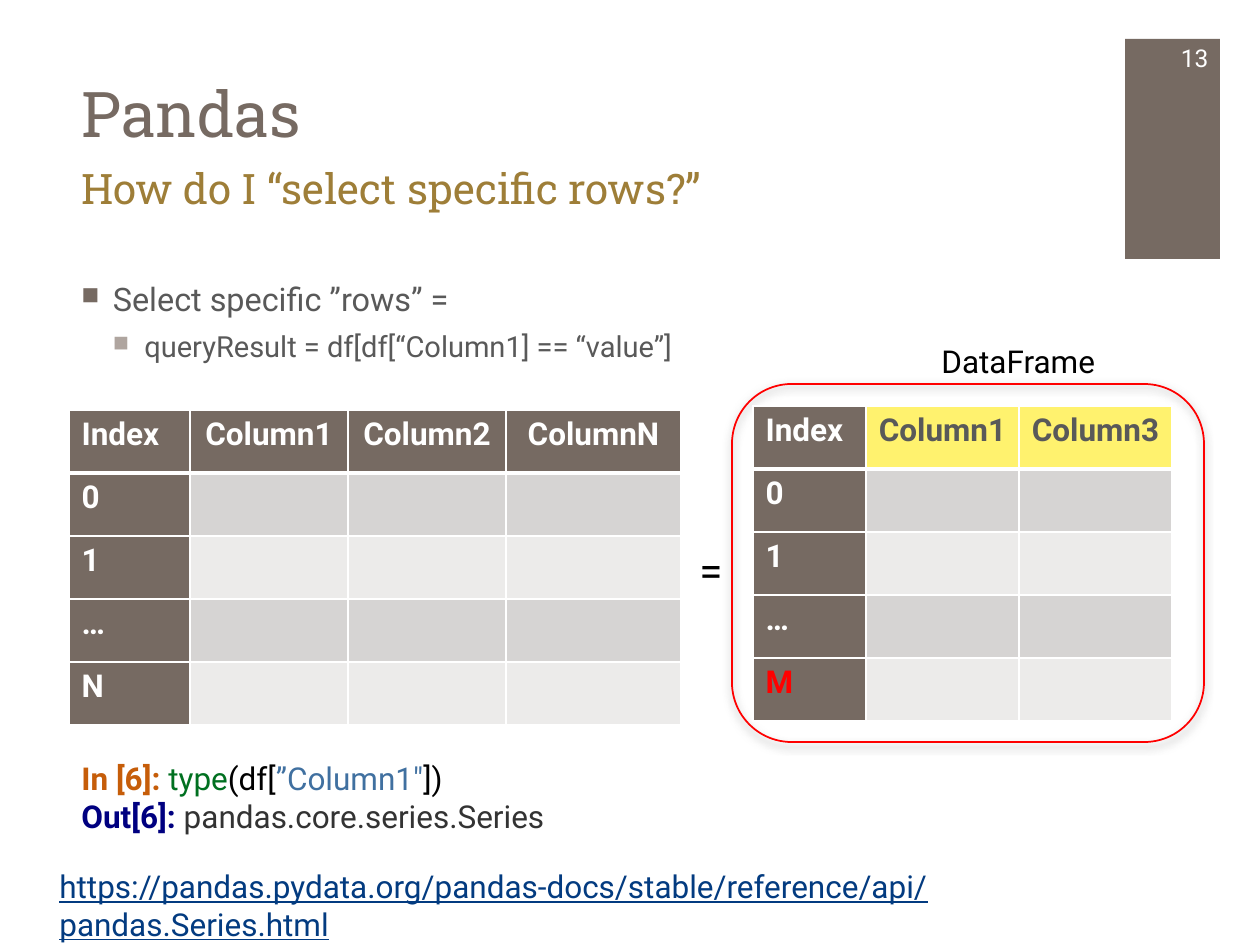
from dataclasses import dataclass

import lxml.etree
import pptx
import pptx.dml.color
import pptx.enum.shapes
import pptx.enum.text
import pptx.oxml
import pptx.oxml.ns
import pptx.util

PX = 914400 / 126
SANS, SLAB = "Roboto", "Roboto Slab"
BROWN, GRAY, WHITE, BLACK, RED = "766A62", "595959", "FFFFFF", "000000", "FF0000"
YELLOW = "FFF26E"
BANDS = ["D6D4D3", "ECEBEA"]
ALIGN = pptx.enum.text.PP_ALIGN
ANCHOR = pptx.enum.text.MSO_ANCHOR
SHAPE = pptx.enum.shapes.MSO_SHAPE


@dataclass
class Span:
    text: str
    color: str = BLACK
    size: float = 18
    font: str = SANS
    bold: bool = False
    underline: bool = False


@dataclass
class Bullet:
    span: Span
    level: int
    color: str
    before: int


@dataclass
class Frame:
    left: int
    top: int
    widths: list[int]
    header: list[str]
    index: list[str]
    header_fill: str = BROWN
    header_color: str = WHITE
    last_color: str = WHITE


def px(n: int) -> int:
    return round(n * PX)


def rgb(color: str) -> pptx.dml.color.RGBColor:
    return pptx.dml.color.RGBColor.from_string(color)


def style(r, span: Span) -> None:
    r.font.name = span.font
    r.font.size = pptx.util.Pt(span.size)
    r.font.bold = span.bold
    r.font.underline = span.underline
    r.font.color.rgb = rgb(span.color)


def fill_paragraph(p, spans: list[Span], align=ALIGN.LEFT) -> None:
    p.alignment = align
    for span in spans:
        r = p.add_run()
        r.text = span.text
        style(r, span)


def add_text(s, box: tuple[int, int, int, int], lines: list[list[Span]],
             align=ALIGN.LEFT, anchor=ANCHOR.TOP):
    tf = s.shapes.add_textbox(*map(px, box)).text_frame
    tf.word_wrap = True
    tf.vertical_anchor = anchor
    for i, spans in enumerate(lines):
        p = tf.add_paragraph() if i else tf.paragraphs[0]
        fill_paragraph(p, spans, align)
    return tf


def add_bullets(s, box: tuple[int, int, int, int], bullets: list[Bullet]) -> None:
    tf = add_text(s, box, [[]] * len(bullets))
    for p, b in zip(tf.paragraphs, bullets):
        pPr = p._p.get_or_add_pPr()
        pPr.set("marL", str(pptx.util.Inches(0.25 * (b.level + 1))))
        pPr.set("indent", str(pptx.util.Inches(-0.25)))
        if b.before:
            p.space_before = pptx.util.Pt(b.before)
        p.level = b.level
        color = lxml.etree.SubElement(pPr, pptx.oxml.ns.qn("a:buClr"))
        lxml.etree.SubElement(color, pptx.oxml.ns.qn("a:srgbClr"), val=b.color)
        lxml.etree.SubElement(pPr, pptx.oxml.ns.qn("a:buSzPct"), val="75000")
        lxml.etree.SubElement(pPr, pptx.oxml.ns.qn("a:buChar"), char="■")
        fill_paragraph(p, [b.span])


def format_cell(cell, fill: str, row: int) -> None:
    tcPr = cell._tc.get_or_add_tcPr()
    points = {"L": 1, "R": 1, "T": 3 if row == 1 else 1, "B": 3 if row == 0 else 1}
    for side, width in points.items():
        ln = lxml.etree.SubElement(tcPr, pptx.oxml.ns.qn(f"a:ln{side}"),
                                   w=str(pptx.util.Pt(width)))
        solid = lxml.etree.SubElement(ln, pptx.oxml.ns.qn("a:solidFill"))
        lxml.etree.SubElement(solid, pptx.oxml.ns.qn("a:srgbClr"), val=WHITE)
    cell.fill.solid()
    cell.fill.fore_color.rgb = rgb(fill)


def add_frame(s, frame: Frame) -> None:
    rows, cols, height = len(frame.index) + 1, len(frame.widths), 63
    table = s.shapes.add_table(rows, cols, px(frame.left), px(frame.top),
                               px(sum(frame.widths)), px(rows * height)).table
    for column, width in zip(table.columns, frame.widths):
        column.width = px(width)
    for i, row in enumerate(table.rows):
        row.height = px(height)
        for j, cell in enumerate(row.cells):
            text, fill, color = "", BROWN, WHITE
            if j == 0:
                text = (["Index"] + frame.index)[i]
                color = frame.last_color if i == rows - 1 else WHITE
            elif i == 0:
                text, fill, color = frame.header[j - 1], frame.header_fill, frame.header_color
            else:
                fill = BANDS[(i - 1) % 2]
            format_cell(cell, fill, i)
            if text:
                fill_paragraph(cell.text_frame.paragraphs[0], [Span(text, color, bold=True)],
                               ALIGN.CENTER if j else ALIGN.LEFT)


def add_box(s, kind, box: tuple[int, int, int, int]):
    sp = s.shapes.add_shape(kind, *map(px, box))
    sp.shadow.inherit = False
    return sp


def add_outline(s, box: tuple[int, int, int, int]) -> None:
    sp = add_box(s, SHAPE.ROUNDED_RECTANGLE, box)
    sp.fill.background()
    sp.line.color.rgb = rgb(RED)
    sp.line.width = pptx.util.Pt(1)
    effects = sp._element.spPr.find(pptx.oxml.ns.qn("a:effectLst"))
    shadow = lxml.etree.SubElement(
        effects, pptx.oxml.ns.qn("a:outerShdw"), blurRad=str(pptx.util.Pt(5)),
        dist=str(pptx.util.Pt(2)), dir="5400000", rotWithShape="0")
    color = lxml.etree.SubElement(shadow, pptx.oxml.ns.qn("a:srgbClr"), val="808080")
    lxml.etree.SubElement(color, pptx.oxml.ns.qn("a:alpha"), val="75000")


def main() -> None:
    prs = pptx.Presentation()
    prs.slide_width, prs.slide_height = px(1260), px(945)
    s = prs.slides.add_slide(prs.slide_layouts[5])

    title = s.shapes.title
    title.left, title.top, title.width, title.height = map(px, (69, 19, 1041, 137))
    tf = title.text_frame
    tf.text = "Pandas"
    tf.vertical_anchor = ANCHOR.BOTTOM
    tf.paragraphs[0].alignment = ALIGN.LEFT
    style(tf.paragraphs[0].runs[0], Span("Pandas", BROWN, 36, SLAB))

    tab = add_box(s, SHAPE.RECTANGLE, (1125, 39, 95, 220))
    tab.fill.solid()
    tab.fill.fore_color.rgb = rgb(BROWN)
    tab.line.fill.background()

    add_bullets(s, (69, 273, 1041, 97), [
        Bullet(Span("Select specific ”rows” =", GRAY, 18.5), 0, BROWN, 0),
        Bullet(Span("queryResult = df[df[“Column1] == “value”]", GRAY, 16.6), 1, "AFA59F", 6),
    ])
    add_text(s, (1144, 33, 77, 50), [[Span("13", WHITE, 14)]], ALIGN.RIGHT, ANCHOR.MIDDLE)
    add_text(s, (69, 156, 1042, 107),
             [[Span("How do I “select specific rows?”", "9E7E38", 24, SLAB)]])
    add_text(s, (47, 861, 1135, 50), [[Span(
        "https://pandas.pydata.org/pandas-docs/stable/reference/api/pandas.Series.html",
        "033B80", underline=True)]])

    add_frame(s, Frame(69, 410, [121, 158, 158, 175],
                       ["Column1", "Column2", "ColumnN"], ["0", "1", "…", "N"]))
    add_outline(s, (732, 384, 472, 358))
    add_text(s, (929, 336, 197, 50), [[Span("DataFrame")]])
    add_frame(s, Frame(753, 406, [113, 153, 153], ["Column1", "Column3"],
                       ["0", "1", "…", "M"], YELLOW, GRAY, RED))
    add_text(s, (687, 538, 53, 63), [[Span("=", size=24)]])
    add_text(s, (69, 753, 630, 89), [
        [Span("In [6]: ", "C65D09", bold=True), Span("type", "007020"), Span("(df["),
         Span("”Column1\"", "4070A0"), Span("])")],
        [Span("Out[6]: ", "000080", bold=True), Span("pandas.core.series.Series", "333333")],
    ])
    prs.save("out.pptx")


if __name__ == "__main__":
    main()
